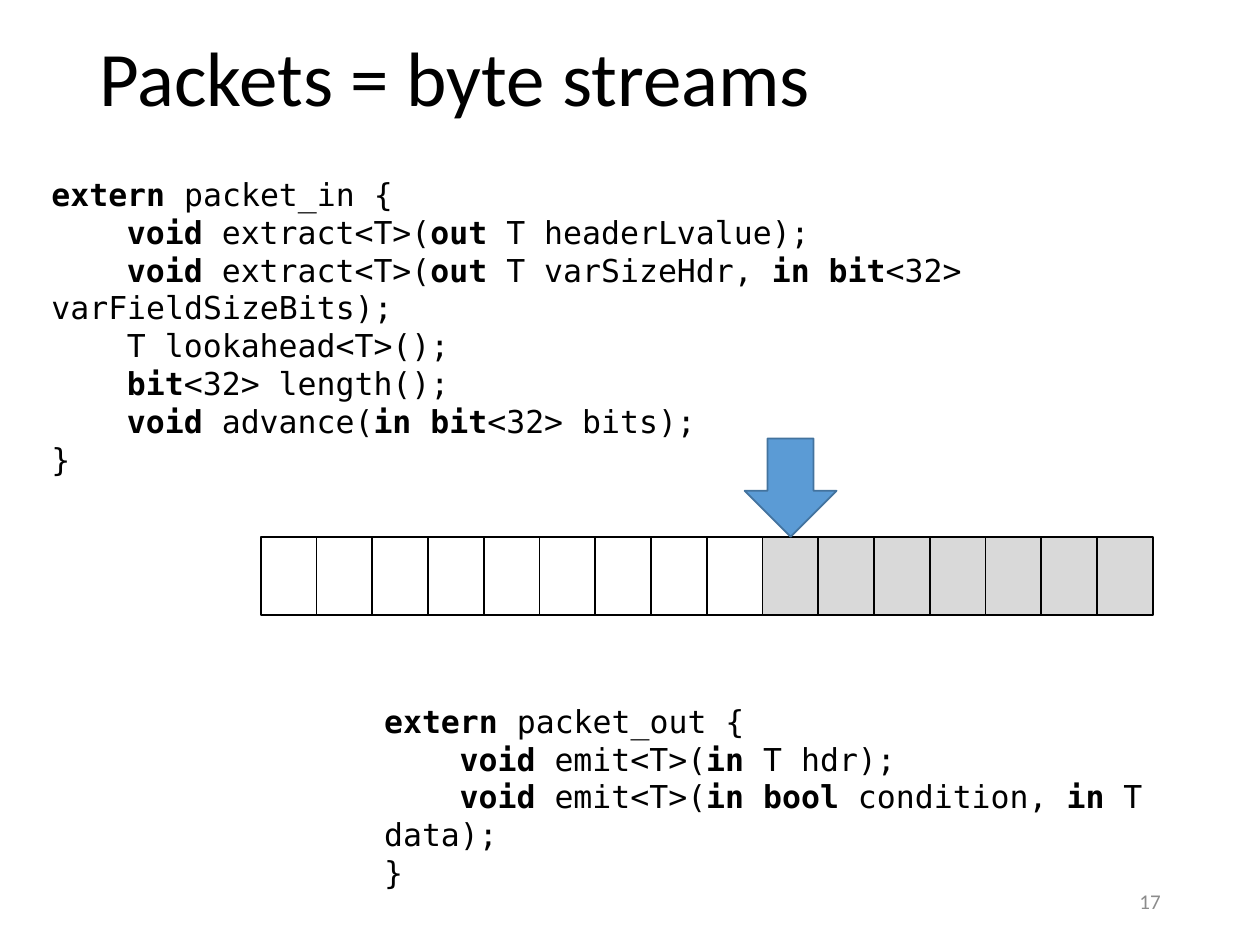
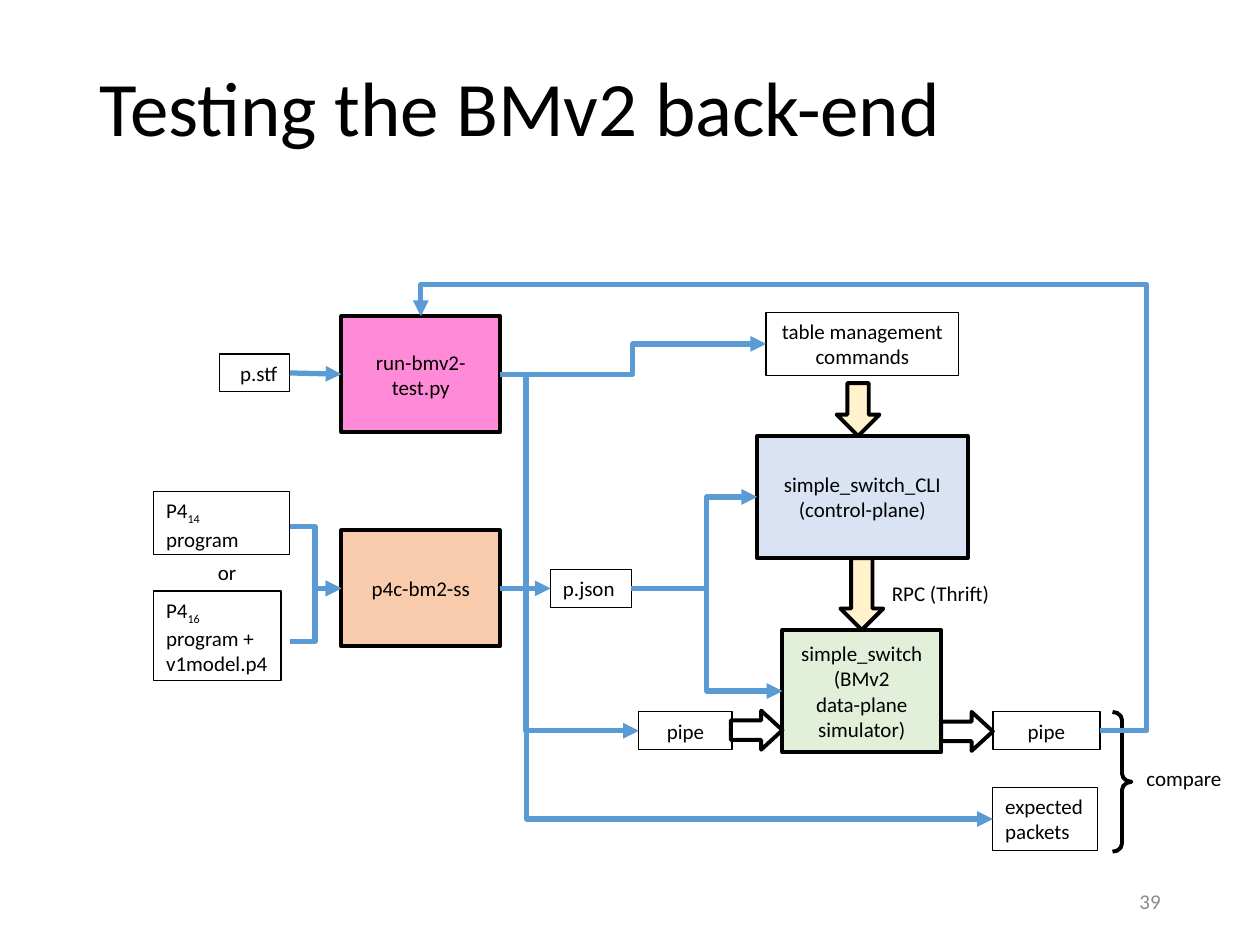
from lxml import etree
from pptx import Presentation
from pptx.dml.color import RGBColor
from pptx.enum.shapes import MSO_CONNECTOR as CX, MSO_SHAPE as SH
from pptx.enum.text import MSO_ANCHOR as ANCHOR, PP_ALIGN as ALIGN
from pptx.oxml.ns import qn
from pptx.util import Inches, Pt

C = dict(black="000000", white="FFFFFF", blue="5B9BD5", edge="43739E", gray="D9D9D9",
         number="8C8C8C", orange="F8CBAD", green="E2F0D9", pale="DAE3F3", pink="FF8AD8",
         cream="FFF2CC")
SANS, MONO = "Calibri", "DejaVu Sans Mono"
ALIGNS = dict(l=ALIGN.LEFT, c=ALIGN.CENTER, r=ALIGN.RIGHT)
INDENT = 0.6

CODE = [
    ((0.31, 1.34, 9.43, 2.22), [
        "*extern* packet_in {",
        "\t*void* extract<T>(*out* T headerLvalue);",
        "\t*void* extract<T>(*out* T varSizeHdr, *in bit*<32> varFieldSizeBits);",
        "\tT lookahead<T>();",
        "\t*bit*<32> length();",
        "\t*void* advance(*in bit*<32> bits);",
        "}"]),
    ((2.95, 5.52, 6.79, 1.31), [
        "*extern* packet_out {",
        "\t*void* emit<T>(*in* T hdr);",
        "\t*void* emit<T>(*in bool* condition, *in* T data);",
        "}"]),
]
CELLS, FIRST_UNREAD = 16, 9
CELL_X, CELL_Y, CELL_W, CELL_H = 2.07, 4.26, 7.08 / CELLS, 0.62

STAGES = {
    "compiler": ((2.71, 4.21, 1.26, 0.92), "orange", ["p4c-bm2-ss"]),
    "switch": ((6.21, 5, 1.26, 0.97), "green",
               ["simple_switch", "(BMv2", "data-plane simulator)"]),
    "cli": ((6.01, 3.46, 1.67, 0.97), "pale", ["simple_switch_CLI", "(control-plane)"]),
    "runner": ((2.71, 2.51, 1.26, 0.92), "pink", ["run-bmv2-test.py"]),
}
FILES = {
    "p4_14": ((1.22, 3.9, 1.08, 0.5), "l", True, ["P4~14~", "program"]),
    "p4_16": ((1.22, 4.69, 1.01, 0.71), "l", False, ["P4~16~", "program +", "v1model.p4"]),
    "json": ((4.37, 4.52, 0.64, 0.3), "l", True, ["p.json"]),
    "commands": ((6.08, 2.48, 1.53, 0.5), "c", False, ["table management", "commands"]),
    "stf": ((1.74, 2.81, 0.56, 0.3), "r", True, ["p.stf"]),
    "pipe_in": ((5.07, 5.65, 0.74, 0.3), "c", True, ["pipe"]),
    "pipe_out": ((7.88, 5.65, 0.85, 0.3), "c", True, ["pipe"]),
    "expected": ((7.88, 6.25, 0.83, 0.5), "l", False, ["expected", "packets"]),
}
LABELS = [
    ((6.98, 4.56, 0.98, 0.3), "RPC (Thrift)"),
    ((1.63, 4.39, 0.35, 0.3), "or"),
    ((9, 6.03, 0.8, 0.3), "compare"),
]
BLOCK_ARROWS = [
    (SH.RIGHT_ARROW, (5.8, 5.64, 0.41, 0.31), "white", (0.5, 0.545)),
    (SH.RIGHT_ARROW, (7.47, 5.65, 0.41, 0.31), "white", (0.5, 0.545)),
    (SH.DOWN_ARROW, (6.64, 3.04, 0.34, 0.42), "cream", ()),
    (SH.DOWN_ARROW, (6.67, 4.43, 0.34, 0.57), "cream", ()),
    (SH.RIGHT_BRACE, (8.83, 5.65, 0.15, 1.11), None, (0.434, 0.5)),
]
FLOWS = [
    ((2.3, 4.18), "compiler", 2.5),
    ((2.3, 5.09), "compiler", 2.5),
    ("compiler", "json", None),
    ("json", "cli", 5.61),
    ("json", "switch", 5.61),
    ("stf", "runner", None),
    ("runner", "commands", 5.02),
    ("runner", "pipe_in", 4.17),
    ("runner", "expected", 4.18),
]
LOOP_X, LOOP_Y = 9.1, 2.26

prs = Presentation()
prs.slide_width, prs.slide_height = Inches(10), Inches(7.5)


def rgb(name):
    return RGBColor.from_string(C[name])


def inches(at):
    return [Inches(v) for v in at]


def write(sp, lines, size=12, font=SANS, color="black", align="l", anchor=ANCHOR.TOP,
          wrap=True, spacing=None):
    tf = sp.text_frame
    tf.word_wrap, tf.vertical_anchor = wrap, anchor
    for n, line in enumerate(lines):
        p = tf.paragraphs[0] if n == 0 else tf.add_paragraph()
        p.alignment = ALIGNS[align]
        if spacing:
            p.line_spacing = spacing
        if line.startswith("\t"):
            p._p.get_or_add_pPr().set("indent", str(Inches(INDENT)))
        mark = "~" if "~" in line else "*"
        for i, part in enumerate(line.strip().split(mark)):
            if not part:
                continue
            r = p.add_run()
            r.text = part
            marked = i % 2 == 1
            for key, value in dict(name=font, size=Pt(size),
                                   bold=marked and mark == "*").items():
                setattr(r.font, key, value)
            r.font.color.rgb = rgb(color)
            if marked and mark == "~":
                r._r.get_or_add_rPr().set("baseline", "-25000")


def text(s, at, lines, **fmt):
    write(s.shapes.add_textbox(*inches(at)), lines, **fmt)


def shape(s, kind, at, fill=None, line="black", width=1.0, adj=()):
    sp = s.shapes.add_shape(kind, *inches(at))
    sp.shadow.inherit = False
    if fill:
        sp.fill.solid()
        sp.fill.fore_color.rgb = rgb(fill)
    else:
        sp.fill.background()
    sp.line.color.rgb = rgb(line)
    sp.line.width = Pt(width)
    for i, value in enumerate(adj):
        sp.adjustments[i] = value
    return sp


def flow(s, start, end, adj=(), preset=None):
    kind = CX.ELBOW if adj else CX.STRAIGHT
    cx = s.shapes.add_connector(kind, *inches(start + end))
    cx.line.color.rgb = rgb("blue")
    cx.line.width = Pt(3)
    pr = cx._element.spPr
    etree.SubElement(cx.line._get_or_add_ln(), qn("a:tailEnd"), type="triangle")
    etree.SubElement(pr, qn("a:effectLst"))
    geom = pr.find(qn("a:prstGeom"))
    if preset:
        geom.set("prst", preset)
    av = geom.find(qn("a:avLst"))
    for i, value in enumerate(adj, 1):
        etree.SubElement(av, qn("a:gd"), name=f"adj{i}", fmla=f"val {round(value * 100000)}")


def port(box, side):
    x, y, w, h = {**STAGES, **FILES}[box][0]
    return dict(left=(x, y + h / 2), right=(x + w, y + h / 2), top=(x + w / 2, y))[side]


def new_slide(title, top, height, number):
    s = prs.slides.add_slide(prs.slide_layouts[6])
    text(s, (0.69, top, 8.62, height), [title], size=44, anchor=ANCHOR.MIDDLE, spacing=0.9)
    text(s, (7.14, 6.95, 2.17, 0.4), [number], color="number", align="r",
         anchor=ANCHOR.MIDDLE)
    return s


s = new_slide("Packets = byte streams", 0.18, 0.94, "17")
for at, lines in CODE:
    text(s, at, lines, size=18, font=MONO)
for i in range(CELLS):
    shape(s, SH.RECTANGLE, (CELL_X + i * CELL_W, CELL_Y, CELL_W, CELL_H),
          "gray" if i >= FIRST_UNREAD else None)
shape(s, SH.DOWN_ARROW, (5.91, 3.48, 0.73, 0.78), "blue", "edge")

s = new_slide("Testing the BMv2 back-end", 0.4, 0.97, "39")
for at, fill, lines in STAGES.values():
    write(shape(s, SH.RECTANGLE, at, fill, width=2.25), lines, align="c",
          anchor=ANCHOR.MIDDLE)
for at, align, wrap, lines in FILES.values():
    write(shape(s, SH.RECTANGLE, at, width=0.75), lines, align=align, wrap=wrap)
for at, label in LABELS:
    text(s, at, [label], wrap=False)
for kind, at, fill, adj in BLOCK_ARROWS:
    shape(s, kind, at, fill, width=2.25, adj=adj)
for source, target, bend in FLOWS:
    start = port(source, "right") if isinstance(source, str) else source
    end = port(target, "left")
    flow(s, start, end, [(bend - start[0]) / (end[0] - start[0])] if bend else ())
start, end = port("pipe_out", "right"), port("runner", "top")
flow(s, start, end, [(LOOP_X - start[0]) / (end[0] - start[0]),
                     (LOOP_Y - start[1]) / (end[1] - start[1])], "bentConnector4")

prs.save("out.pptx")
